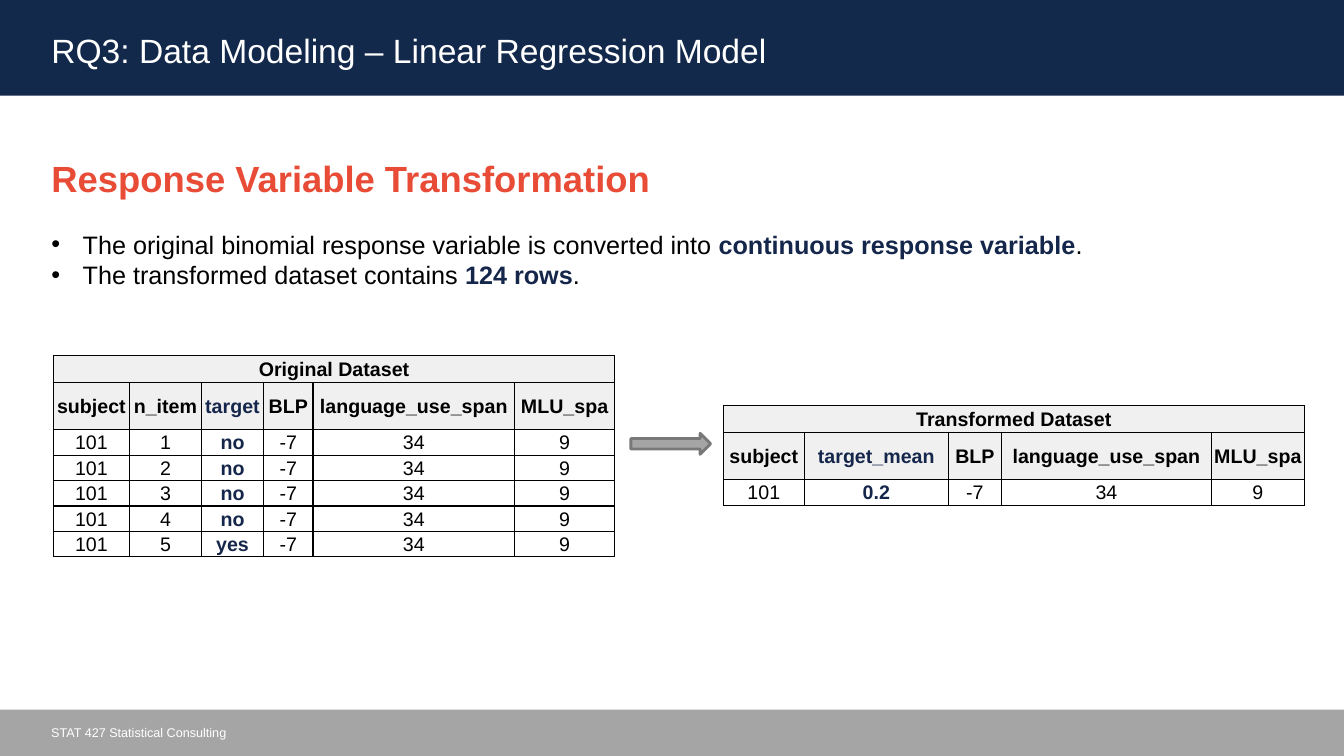
from lxml.etree import SubElement
from pptx import Presentation
from pptx.dml.color import RGBColor
from pptx.enum.shapes import MSO_SHAPE
from pptx.enum.text import MSO_ANCHOR, MSO_AUTO_SIZE, PP_ALIGN
from pptx.oxml.ns import qn
from pptx.util import Cm, Pt

BAND_NAVY = RGBColor(0x13, 0x29, 0x4B)
NAVY = RGBColor(0x15, 0x26, 0x4B)
ORANGE = RGBColor(0xE8, 0x4B, 0x36)
GREY = RGBColor(0xA5, 0xA5, 0xA5)
DARK_GREY = RGBColor(0x78, 0x78, 0x78)
HEADER_GREY = RGBColor(0xF0, 0xF0, 0xF0)
WHITE = RGBColor(0xFF, 0xFF, 0xFF)
BLACK = RGBColor(0, 0, 0)


def add_span(para, text, size, color, bold=False):
    span = para.add_run()
    span.text = text
    span.font.name = "Arial"
    span.font.size = Pt(size)
    span.font.bold = bold
    span.font.color.rgb = color


def add_solid(kind, left, top, width, height, color):
    shape = page.shapes.add_shape(kind, Cm(left), Cm(top), Cm(width), Cm(height))
    shape.shadow.inherit = False
    shape.fill.solid()
    shape.fill.fore_color.rgb = color
    shape.line.fill.background()
    return shape


deck = Presentation()
deck.slide_width, deck.slide_height = Cm(33.87), Cm(19.05)
page = deck.slides.add_slide(deck.slide_layouts[1])

# Header and footer bands
add_solid(MSO_SHAPE.RECTANGLE, 0, 17.88, 33.87, 1.17, GREY)
header = add_solid(MSO_SHAPE.RECTANGLE, 0, 0, 33.87, 2.41, BAND_NAVY)

# Title, in front of the header band
title = page.shapes.title
header.element.addnext(title.element)
title.left, title.top, title.width, title.height = Cm(1.04), Cm(0.56), Cm(30.3), Cm(1.27)
frame = title.text_frame
frame.auto_size = MSO_AUTO_SIZE.NONE
frame.vertical_anchor = MSO_ANCHOR.TOP
frame.margin_top = Cm(0.2)
para = frame.paragraphs[0]
para.alignment = PP_ALIGN.LEFT
add_span(para, "RQ3: Data Modeling – Linear Regression Model", 24, WHITE)

# Body: heading and bullets
body = page.placeholders[1]
body.left, body.top, body.width, body.height = Cm(1.04), Cm(3.71), Cm(31.04), Cm(13.39)
frame = body.text_frame
frame.auto_size = MSO_AUTO_SIZE.NONE
frame.margin_top = Cm(0.22)
para = frame.paragraphs[0]
para.space_before = Pt(0)
properties = para._p.get_or_add_pPr()
properties.set("marL", "0")
properties.set("indent", "0")
SubElement(properties, qn("a:buNone"))
add_span(para, "Response Variable Transformation", 26, ORANGE, True)

bullets = [
    ("The original binomial response variable is converted into ",
     "continuous response variable", 21),
    ("The transformed dataset contains ", "124 rows", 0),
]
for lead, emphasis, gap in bullets:
    para = frame.add_paragraph()
    para.space_before = Pt(gap)
    properties = para._p.get_or_add_pPr()
    properties.set("marL", str(Cm(0.79)))
    properties.set("indent", str(-Cm(0.79)))
    SubElement(properties, qn("a:buFont")).set("typeface", "Arial")
    SubElement(properties, qn("a:buChar")).set("char", "•")
    add_span(para, lead, 18, BLACK)
    add_span(para, emphasis, 18, NAVY, True)
    add_span(para, ".", 18, BLACK)

# Datasets: caption, left, top, column widths, target column, rows
datasets = [
    ("Original Dataset", 1.35, 8.96, [1.91, 1.82, 1.56, 1.25, 5.08, 2.52], 2,
     [["subject", "n_item", "target", "BLP", "language_use_span", "MLU_spa"]]
     + [["101", str(item), "yes" if item == 5 else "no", "-7", "34", "9"]
        for item in range(1, 6)]),
    ("Transformed Dataset", 18.23, 10.22, [2.04, 3.63, 1.34, 5.29, 2.34], 1,
     [["subject", "target_mean", "BLP", "language_use_span", "MLU_spa"],
      ["101", "0.2", "-7", "34", "9"]]),
]
for caption, left, top, widths, target, records in datasets:
    rows = [[caption] + [""] * (len(widths) - 1)] + records
    heights = [0.67, 1.2] + [0.64] * (len(rows) - 2)
    table = page.shapes.add_table(len(rows), len(widths), Cm(left), Cm(top),
                                  Cm(sum(widths)), Cm(sum(heights))).table
    table.first_row = table.horz_banding = False
    for column, width in zip(table.columns, widths):
        column.width = Cm(width)
    for row, height in zip(table.rows, heights):
        row.height = Cm(height)
    table.cell(0, 0).merge(table.cell(0, len(widths) - 1))

    for r, values in enumerate(rows):
        for c, value in enumerate(values):
            cell = table.cell(r, c)
            cell.vertical_anchor = MSO_ANCHOR.MIDDLE
            cell.margin_left = cell.margin_right = cell.margin_top = Cm(0.03)
            cell.margin_bottom = 0
            for side in ("lnL", "lnR", "lnT", "lnB"):
                border = SubElement(cell._tc.get_or_add_tcPr(), qn(f"a:{side}"))
                border.set("w", str(Pt(1)))
                ink = SubElement(border, qn("a:solidFill"))
                SubElement(ink, qn("a:srgbClr")).set("val", str(BLACK))
            cell.fill.solid()
            cell.fill.fore_color.rgb = HEADER_GREY if r < 2 else WHITE
            if value:
                para = cell.text_frame.paragraphs[0]
                para.alignment = PP_ALIGN.CENTER
                is_target = r > 0 and c == target
                add_span(para, value, 14, NAVY if is_target else BLACK, r < 2 or is_target)

# Arrow between the tables
arrow = add_solid(MSO_SHAPE.RIGHT_ARROW, 15.9, 10.92, 2.01, 0.53, GREY)
arrow.line.color.rgb = DARK_GREY
arrow.line.width = Pt(2)

# Footer text
box = page.shapes.add_textbox(Cm(1.04), Cm(18.14), Cm(22.2), Cm(0.64))
box.text_frame.word_wrap = True
add_span(box.text_frame.paragraphs[0], "STAT 427 Statistical Consulting", 9, WHITE)

deck.save("out.pptx")
